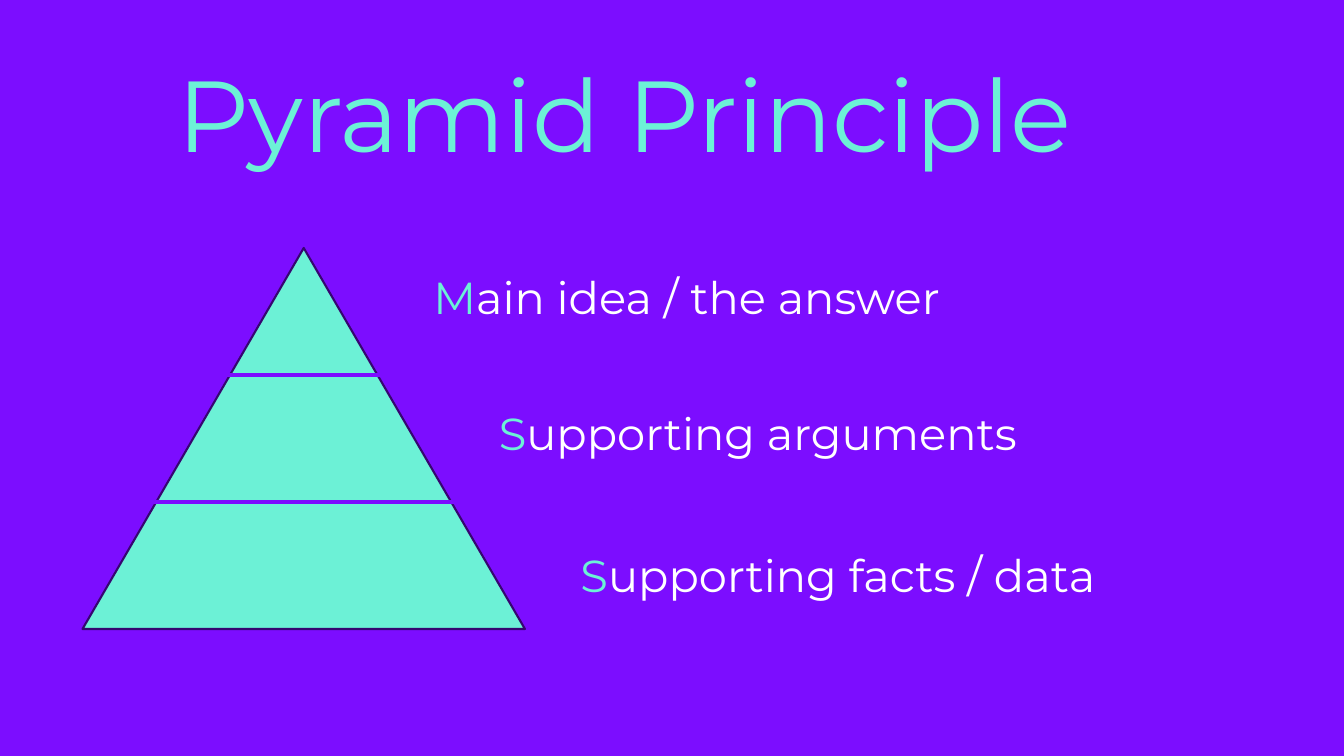
from dataclasses import dataclass

from lxml import etree
from pptx import Presentation
from pptx.dml.color import RGBColor
from pptx.enum.shapes import MSO_CONNECTOR, MSO_SHAPE
from pptx.enum.text import MSO_AUTO_SIZE
from pptx.oxml.ns import qn
from pptx.util import Cm, Pt

TRIANGLE = MSO_SHAPE.ISOSCELES_TRIANGLE
STRAIGHT = MSO_CONNECTOR.STRAIGHT
FIT_SHAPE = MSO_AUTO_SIZE.SHAPE_TO_FIT_TEXT


@dataclass(frozen=True)
class Theme:
    font: str = "Montserrat"
    purple: RGBColor = RGBColor(0x7C, 0x0D, 0xFF)
    mint: RGBColor = RGBColor(0x6C, 0xF1, 0xD6)
    white: RGBColor = RGBColor(0xFF, 0xFF, 0xFF)
    outline: RGBColor = RGBColor(0x36, 0x06, 0x70)
    title_size: Pt = Pt(72)
    label_size: Pt = Pt(32)


theme = Theme()


def add_text(s, left, top, width, height, size, runs):
    tf = s.shapes.add_textbox(Cm(left), Cm(top), Cm(width), Cm(height)).text_frame
    tf.word_wrap = False
    tf.auto_size = FIT_SHAPE
    p = tf.paragraphs[0]
    for text, color in runs:
        r = p.add_run()
        r.text = text
        r.font.name = theme.font
        r.font.size = size
        r.font.color.rgb = color


prs = Presentation()
prs.slide_width, prs.slide_height = Cm(33.87), Cm(19.05)
s = prs.slides.add_slide(prs.slide_layouts[6])
s.background.fill.solid()
s.background.fill.fore_color.rgb = theme.purple

# Title
add_text(s, 4.22, 1.19, 23.9, 3.33, theme.title_size,
         [("Pyramid Principle", theme.mint)])

# Level labels, each with a highlighted initial
labels = [
    (10.67, 6.68, 13.82, "Main idea / the answer"),
    (12.32, 10.11, 13.92, "Supporting arguments"),
    (14.38, 13.67, 14.1, "Supporting facts / data"),
]
for left, top, width, text in labels:
    add_text(s, left, top, width, 1.63, theme.label_size,
             [(text[0], theme.mint), (text[1:], theme.white)])

# Pyramid
pyramid_top, pyramid_height = 6.25, 9.6
sp = s.shapes.add_shape(TRIANGLE, Cm(2.08), Cm(pyramid_top), Cm(11.15), Cm(pyramid_height))
sp.shadow.inherit = False
sp.fill.solid()
sp.fill.fore_color.rgb = theme.mint
sp.line.color.rgb = theme.outline
sp.line.width = Pt(1.5)

# Dividers at each third of the height
for level, (left, right) in enumerate([(4.37, 11.28), (3.38, 11.48)], start=1):
    y = Cm(pyramid_top + level * pyramid_height / 3)
    divider = s.shapes.add_connector(STRAIGHT, Cm(left), y, Cm(right), y)
    divider.line.color.rgb = theme.purple
    divider.line.width = Pt(3)
    etree.SubElement(divider._element.spPr, qn("a:effectLst"))

prs.save("out.pptx")
